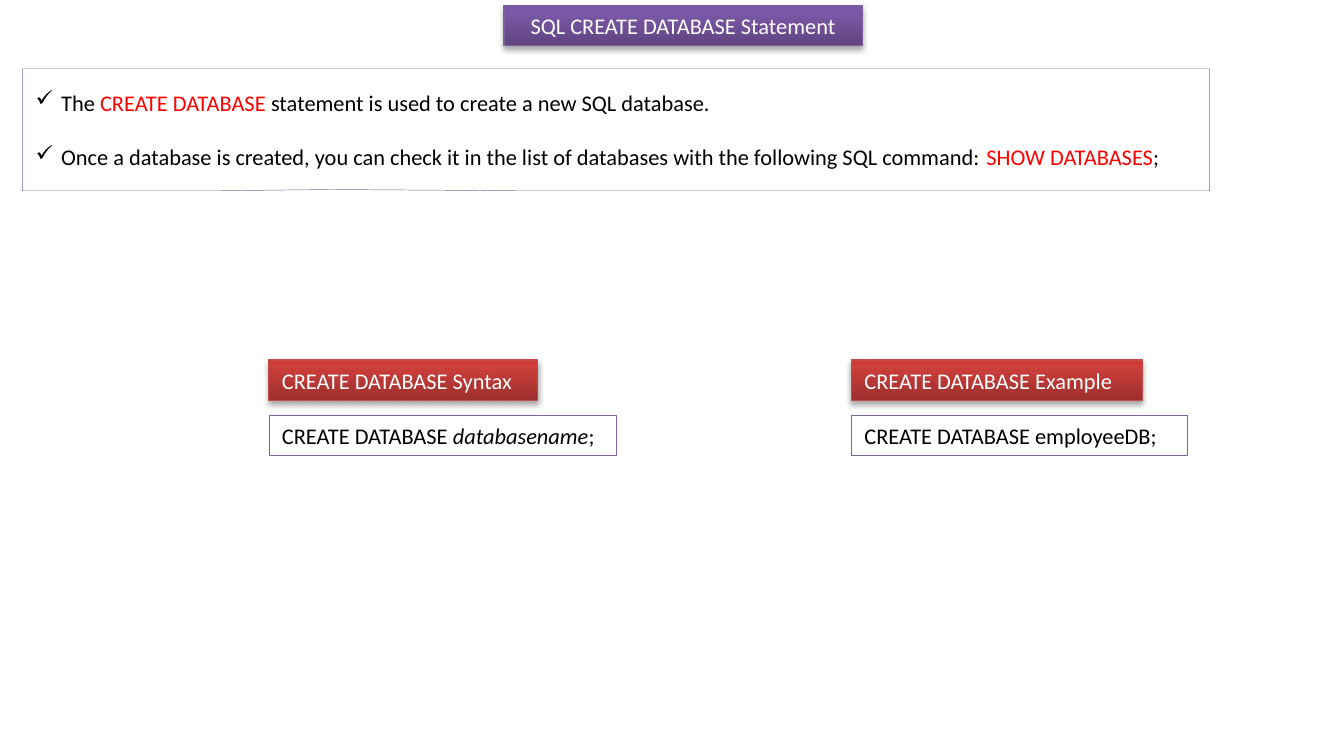
import dataclasses
from typing import Optional

import pptx
import pptx.dml.color
import pptx.enum.shapes
import pptx.enum.text
import pptx.oxml
import pptx.oxml.ns
import pptx.util

Kind = pptx.enum.shapes.MSO_SHAPE
Align = pptx.enum.text.PP_ALIGN
Anchor = pptx.enum.text.MSO_ANCHOR


@dataclasses.dataclass(frozen=True)
class Theme:
    font: str = "Calibri"
    text_size: float = 12
    paragraph_gap: float = 14.6
    white: str = "FFFFFF"
    black: str = "000000"
    red: str = "FF0000"
    outline: str = "8064A2"
    thin_line: float = 0.25
    label_line: float = 0.75


@dataclasses.dataclass(frozen=True)
class Style:
    stops: tuple[tuple[int, str], ...]  # percent and colour, bottom to top
    line: str


@dataclasses.dataclass(frozen=True)
class Run:
    text: str
    color: str
    italic: bool = False


@dataclasses.dataclass(frozen=True)
class Box:
    column: float
    row: float
    columns: float
    rows: float
    paragraphs: tuple[tuple[Run, ...], ...]
    style: Optional[Style] = None  # None gives a plain outlined box
    align: Align = Align.LEFT
    callout: bool = False


THEME = Theme()
PURPLE = Style(((0, "5F4480"), (80, "7B58A6"), (100, "7C57A8")), "7D60A0")
RED = Style(((0, "9C2F2D"), (80, "CB3E3A"), (100, "CE3B37")), "BF4C48")

# Grid: 60 columns by 55 rows over the slide
SLIDE_WIDTH = pptx.util.Inches(10)
SLIDE_HEIGHT = pptx.util.Inches(5.5)
COLUMN = SLIDE_WIDTH / 60
ROW = SLIDE_HEIGHT / 55
LABEL_ROW, CODE_ROW, LINE_ROWS = 26.8, 30.9, 3


def rgb(color: str) -> pptx.dml.color.RGBColor:
    return pptx.dml.color.RGBColor.from_string(color)


def add_gradient_and_shadow(shape, style: Style) -> None:
    namespace = pptx.oxml.ns.nsdecls("a")
    stops = "".join(
        f'<a:gs pos="{percent * 1000}"><a:srgbClr val="{color}"/></a:gs>'
        for percent, color in style.stops
    )
    gradient = pptx.oxml.parse_xml(
        f'<a:gradFill {namespace} rotWithShape="1"><a:gsLst>{stops}</a:gsLst>'
        '<a:lin ang="16200000" scaled="0"/></a:gradFill>'
    )
    shadow = pptx.oxml.parse_xml(
        f'<a:effectLst {namespace}><a:outerShdw blurRad="40000" dist="23000" '
        f'dir="5400000" rotWithShape="0"><a:srgbClr val="{THEME.black}">'
        '<a:alpha val="35000"/></a:srgbClr></a:outerShdw></a:effectLst>'
    )
    properties = shape._element.spPr
    properties.insert(2, gradient)  # after the position and the geometry
    properties.append(shadow)


def add_check_bullet(paragraph) -> None:
    properties = paragraph._p.get_or_add_pPr()
    indent = pptx.util.Inches(0.19)
    properties.set("marL", str(indent))
    properties.set("indent", str(-indent))
    namespace = pptx.oxml.ns.nsdecls("a")
    properties.append(pptx.oxml.parse_xml(f'<a:buChar {namespace} char="✓"/>'))


def add_text(shape, box: Box) -> None:
    frame = shape.text_frame
    frame.word_wrap = True
    frame.vertical_anchor = Anchor.MIDDLE if box.callout else Anchor.TOP
    for index, runs in enumerate(box.paragraphs):
        paragraph = frame.add_paragraph() if index else frame.paragraphs[0]
        paragraph.alignment = box.align
        if index:
            paragraph.space_before = pptx.util.Pt(THEME.paragraph_gap)
        if box.callout:
            add_check_bullet(paragraph)
        for item in runs:
            run = paragraph.add_run()
            run.text = item.text
            run.font.name = THEME.font
            run.font.size = pptx.util.Pt(THEME.text_size)
            run.font.italic = item.italic
            run.font.color.rgb = rgb(item.color)


def add_box(slide, box: Box) -> None:
    kind = Kind.RECTANGULAR_CALLOUT if box.callout else Kind.RECTANGLE
    shape = slide.shapes.add_shape(
        kind,
        round(box.column * COLUMN), round(box.row * ROW),
        round(box.columns * COLUMN), round(box.rows * ROW),
    )
    if box.callout:  # the pointer is tucked inside the bottom edge
        shape.adjustments[0] = -0.24
        shape.adjustments[1] = 0.49
    shape.line.color.rgb = rgb(box.style.line if box.style else THEME.outline)
    shape.line.width = pptx.util.Pt(THEME.label_line if box.style else THEME.thin_line)
    if box.style:
        add_gradient_and_shadow(shape, box.style)
    else:
        shape.fill.solid()
        shape.fill.fore_color.rgb = rgb(THEME.white)
        shape.shadow.inherit = False
    add_text(shape, box)


def label(text: str) -> tuple[tuple[Run, ...], ...]:
    return ((Run(text, THEME.white),),)


BOXES = (
    # Title
    Box(22.5, 0.4, 16, LINE_ROWS, label("SQL CREATE DATABASE Statement"),
        PURPLE, Align.CENTER),
    # Explanation
    Box(1, 5.1, 53, 9.1, (
        (Run("The ", THEME.black),
         Run("CREATE DATABASE ", THEME.red),
         Run("statement is used to create a new SQL database.", THEME.black)),
        (Run("Once a database is created, you can check it in the list of databases "
             "with the following SQL command: ", THEME.black),
         Run("SHOW DATABASES", THEME.red),
         Run(";", THEME.black)),
    ), callout=True),
    # Syntax
    Box(12, CODE_ROW, 15.5, LINE_ROWS, ((
        Run("CREATE DATABASE ", THEME.black),
        Run("databasename", THEME.black, italic=True),
        Run(";", THEME.black)),)),
    Box(12, LABEL_ROW, 12, LINE_ROWS, label("CREATE DATABASE Syntax"), RED),
    # Example
    Box(38, CODE_ROW, 15, LINE_ROWS,
        ((Run("CREATE DATABASE employeeDB;", THEME.black),),)),
    Box(38, LABEL_ROW, 13, LINE_ROWS, label("CREATE DATABASE Example"), RED),
)


def main() -> None:
    presentation = pptx.Presentation()
    presentation.slide_width = SLIDE_WIDTH
    presentation.slide_height = SLIDE_HEIGHT
    slide = presentation.slides.add_slide(presentation.slide_layouts[6])
    for box in BOXES:
        add_box(slide, box)
    presentation.save("out.pptx")


if __name__ == "__main__":
    main()
